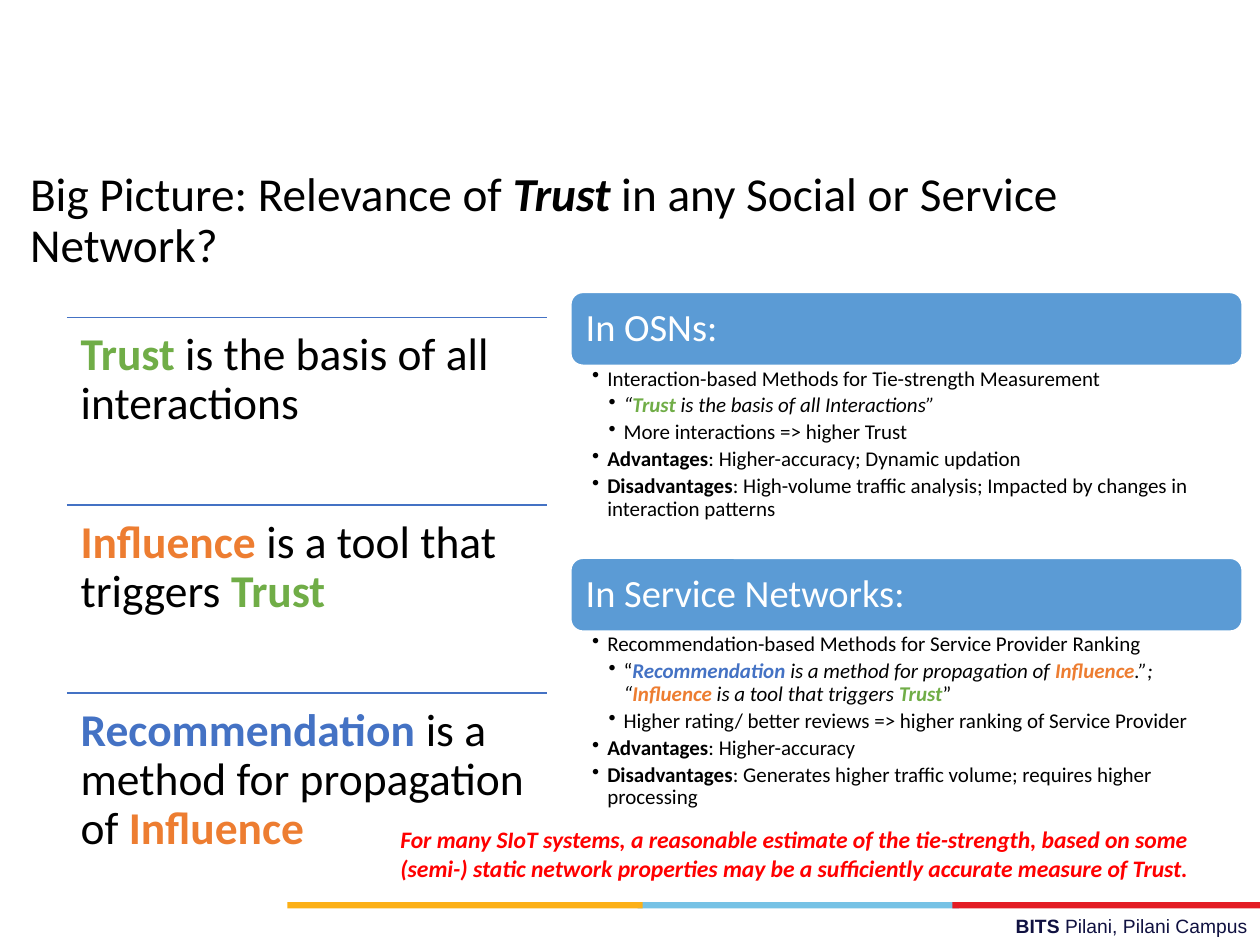
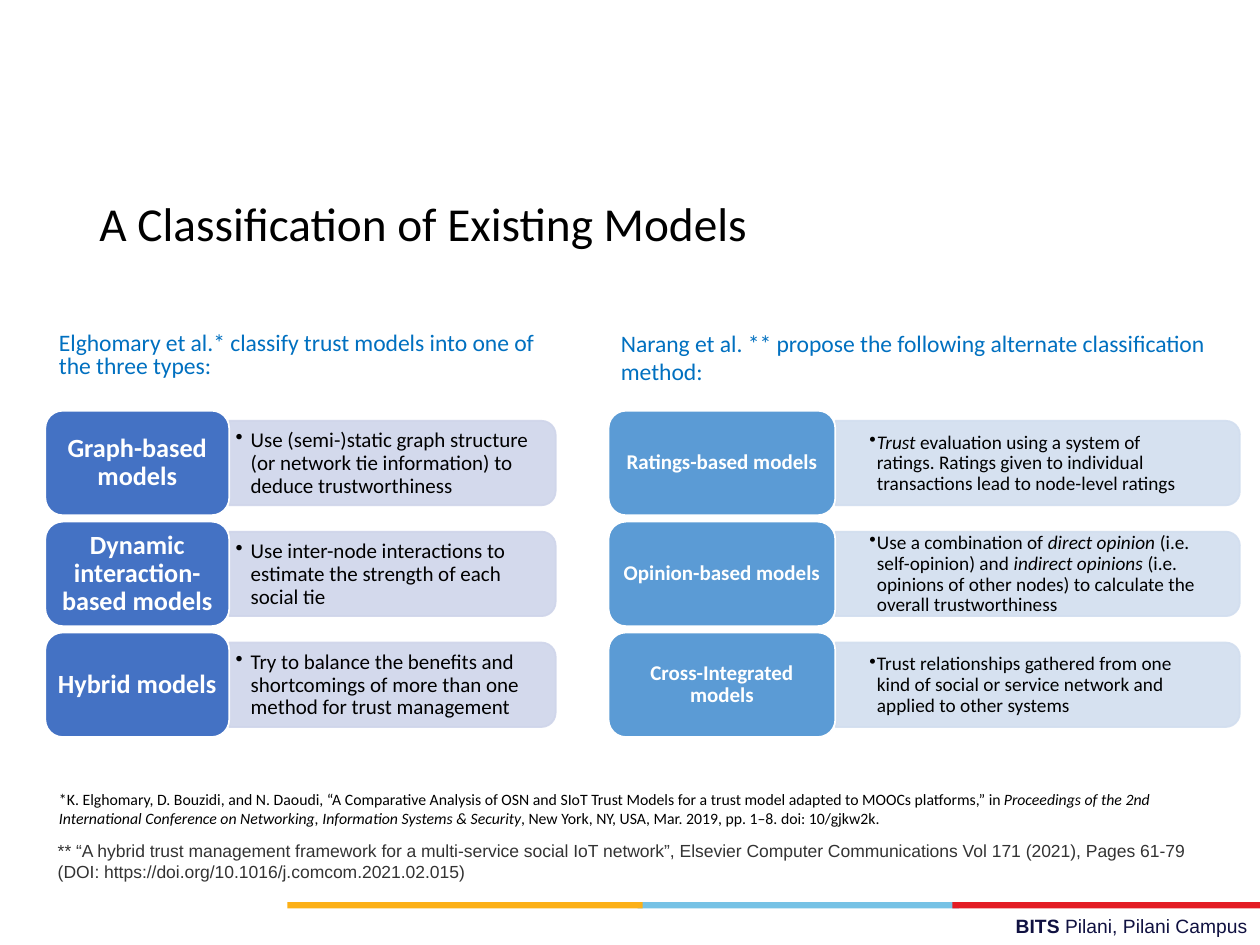
from lxml.etree import SubElement
from pptx import Presentation
from pptx.dml.color import RGBColor
from pptx.enum.shapes import MSO_CONNECTOR, MSO_SHAPE as SHAPE
from pptx.enum.text import MSO_ANCHOR as ANCHOR, PP_ALIGN as ALIGN
from pptx.oxml.ns import qn
from pptx.util import Emu, Pt

PX = 9144
BLACK, WHITE, NAVY, RED = "000000", "FFFFFF", "101141", "FF0000"
INDIGO, SKY, GREEN, ORANGE, LINK = "4472C4", "5B9BD5", "70AD47", "ED7D31", "0070C0"
TITLE_SIZE = 27

color = RGBColor.from_string
TRUST = ("Trust", "b", GREEN)
INFLUENCE = ("Influence", "b", ORANGE)
RECOMMENDATION = ("Recommendation", "b", INDIGO)


def write(frame, paragraphs, size, ink=BLACK, font="Calibri", insets=(10, 5, 10, 5),
          anchor=ANCHOR.TOP, align=ALIGN.LEFT, spacing=0.9, after=0, hang=0, step=0):
    frame.word_wrap = True
    frame.vertical_anchor = anchor
    frame.margin_left, frame.margin_top, frame.margin_right, frame.margin_bottom = [
        Emu(inset * PX) for inset in insets]
    for index, (level, runs) in enumerate(paragraphs):
        paragraph = frame.add_paragraph() if index else frame.paragraphs[0]
        paragraph.alignment = align
        paragraph.line_spacing = spacing
        paragraph.space_after = Pt(after)
        paragraph.level = level
        if hang:
            properties = paragraph._p.get_or_add_pPr()
            properties.set("marL", str((hang + step * level) * PX))
            properties.set("indent", str(-hang * PX))
            SubElement(properties, qn("a:buChar")).set("char", "•")
        for words, style, tint in runs:
            run = paragraph.add_run()
            run.text = words
            run.font.name = font
            run.font.size = Pt(size)
            run.font.bold = "b" in style
            run.font.italic = "i" in style
            run.font.color.rgb = color(tint or ink)


def block(slide, kind, box, fill, outline=None):
    shape = slide.shapes.add_shape(kind, *[Emu(n * PX) for n in box])
    shape.shadow.inherit = False
    shape.fill.solid()
    shape.fill.fore_color.rgb = color(fill)
    if outline:
        shape.line.color.rgb = color(outline)
        shape.line.width = Pt(1)
    else:
        shape.line.fill.background()
    return shape


deck = Presentation()
deck.slide_width, deck.slide_height = Emu(1000 * PX), Emu(750 * PX)
relevance, classification = [deck.slides.add_slide(deck.slide_layouts[6]) for _ in range(2)]

for slide in (relevance, classification):
    campus = slide.shapes.add_textbox(*[Emu(n * PX) for n in (358, 721, 642, 29)])
    write(campus.text_frame, [(0, [("BITS ", "b", None), ("Pilani, Pilani Campus", "", None)])],
          11, NAVY, "Arial", align=ALIGN.RIGHT, spacing=1)
    for left, width, fill in ((506, 255, "76C2E5"), (756, 244, "E31C24"), (228, 282, "FCB017")):
        block(slide, SHAPE.RECTANGLE, (left, 716, width, 5), fill)

titles = [
    (relevance, (14, 133, 980, 86), [("Big Picture: Relevance of ", "", None), ("Trust", "bi", None),
                                     (" in any Social or Service Network?", "", None)]),
    (classification, (69, 125, 862, 109), [("A Classification of Existing Models", "", None)]),
]
for slide, box, runs in titles:
    title = slide.shapes.add_textbox(*[Emu(n * PX) for n in box])
    write(title.text_frame, [(0, runs)], TITLE_SIZE, anchor=ANCHOR.MIDDLE)

principles = [
    [TRUST, (" is the basis of all interactions", "", None)],
    [INFLUENCE, (" is a tool that triggers ", "", None), TRUST],
    [RECOMMENDATION, (" is a method for propagation of ", "", None), INFLUENCE],
]
for row, runs in enumerate(principles):
    top = 252 + 149 * row
    rule = relevance.shapes.add_connector(
        MSO_CONNECTOR.STRAIGHT, *[Emu(n * PX) for n in (53, top, 434, top)])
    rule.line.color.rgb = color(INDIGO)
    rule.line.width = Pt(1)
    SubElement(rule._element.spPr, qn("a:effectLst"))
    principle = relevance.shapes.add_textbox(*[Emu(n * PX) for n in (53, top, 381, 149)])
    write(principle.text_frame, [(0, runs)], 26, insets=(11, 11, 11, 11))

networks = [
    (232, "In OSNs:", [
        (0, [("Interaction-based Methods for Tie-strength Measurement", "", None)]),
        (1, [("“", "i", None), ("Trust ", "bi", GREEN),
             ("is the basis of all Interactions”", "i", None)]),
        (1, [("More interactions => higher Trust", "", None)]),
        (0, [("Advantages", "b", None), (": Higher-accuracy; Dynamic updation", "", None)]),
        (0, [("Disadvantages", "b", None),
             (": High-volume traffic analysis; Impacted by changes in interaction patterns", "", None)]),
    ]),
    (443, "In Service Networks:", [
        (0, [("Recommendation-based Methods for Service Provider Ranking", "", None)]),
        (1, [("“", "", None), ("Recommendation", "bi", INDIGO),
             (" is a method for propagation of ", "i", None), ("Influence", "bi", ORANGE),
             (".”; “", "i", None), ("Influence", "bi", ORANGE),
             (" is a tool that triggers ", "i", None), ("Trust", "bi", GREEN), ("”", "", None)]),
        (1, [("Higher rating/ better reviews => higher ranking of Service Provider", "", None)]),
        (0, [("Advantages", "b", None), (": Higher-accuracy", "", None)]),
        (0, [("Disadvantages", "b", None),
             (": Generates higher traffic volume; requires higher processing", "", None)]),
    ]),
]
for top, heading, points in networks:
    header = block(relevance, SHAPE.ROUNDED_RECTANGLE, (453, top, 533, 58), SKY, WHITE)
    write(header.text_frame, [(0, [(heading, "", None)])], 22, WHITE,
          insets=(9, 9, 9, 9), anchor=ANCHOR.MIDDLE)
    details = relevance.shapes.add_textbox(*[Emu(n * PX) for n in (453, top + 58, 533, 150)])
    write(details.text_frame, points, 12, insets=(17, 2, 12, 2), after=2.4, hang=12, step=13)

model_groups = [
    (36, 146, 259, INDIGO, "CFD5EA", 15, 12, (6, 3, 6, 3), (5, 3, 5, 3), 12, [
        ("Graph-based models",
         [("Use (semi-)static graph structure (or network tie information) to deduce trustworthiness",
           "", None)]),
        ("Dynamic interaction-based models",
         [("Use inter-node interactions to estimate the strength of each social tie", "", None)]),
        ("Hybrid models",
         [("Try to balance the benefits and shortcomings of more than one method for trust management",
           "", None)]),
    ]),
    (483, 180, 321, SKY, "D2DEEF", 12, 11, (5, 3, 5, 3), (27, 14, 27, 14), 6, [
        ("Ratings-based models",
         [("Trust", "i", None),
          (" evaluation using a system of ratings. Ratings given to individual transactions "
           "lead to node-level ratings", "", None)]),
        ("Opinion-based models",
         [("Use a combination of ", "", None), ("direct opinion", "i", None),
          (" (i.e. self-opinion) and ", "", None), ("indirect opinions", "i", None),
          (" (i.e. opinions of other nodes) to calculate the overall trustworthiness", "", None)]),
        ("Cross-Integrated models",
         [("Trust relationships gathered from one kind of social or service network and applied "
           "to other systems", "", None)]),
    ]),
]
for (left, label_width, panel_width, fill, pale, label_size, text_size,
     label_insets, text_insets, hang, models) in model_groups:
    panel_left = left + label_width
    for row, (name, description) in enumerate(models):
        top = 326 + 88 * row
        panel_box = (panel_left + (panel_width - 67) // 2, top + 8 - (panel_width - 67) // 2,
                     67, panel_width)
        panel = block(classification, SHAPE.ROUND_2_SAME_RECTANGLE, panel_box, pale, pale)
        panel.rotation = 90
        for paint in panel._element.spPr.iter(qn("a:srgbClr")):
            SubElement(paint, qn("a:alpha")).set("val", "90000")
        summary = classification.shapes.add_textbox(
            *[Emu(n * PX) for n in (panel_left, top + 12, panel_width - 3, 60)])
        write(summary.text_frame, [(0, description)], text_size, insets=text_insets,
              anchor=ANCHOR.MIDDLE, hang=hang)
        label = block(classification, SHAPE.ROUNDED_RECTANGLE, (left, top, label_width, 83), fill, WHITE)
        write(label.text_frame, [(0, [(name, "b", None)])], label_size, WHITE,
              insets=label_insets, anchor=ANCHOR.MIDDLE, align=ALIGN.CENTER)

remarks = [
    (relevance, (308, 650, 677, 56), 13.5, RED, "Calibri", 1,
     [("For many SIoT systems, a reasonable estimate of the tie-strength, based on some (semi-) static "
       "network properties may be a sufficiently accurate measure of Trust.", "bi", None)]),
    (classification, (37, 260, 404, 46), 13.5, LINK, "Calibri", 0.8,
     [("Elghomary et al.* classify trust models into one of the three types:", "", None)]),
    (classification, (483, 256, 501, 56), 13.5, LINK, "Calibri", 1,
     [("Narang et al. ** propose the following alternate classification method:", "", None)]),
    (classification, (37, 622, 947, 40), 9, BLACK, "Calibri", 1,
     [("*K. Elghomary, D. Bouzidi, and N. Daoudi, “A Comparative Analysis of OSN and SIoT Trust Models "
       "for a trust model adapted to MOOCs platforms,” in ", "", None),
      ("Proceedings of the 2nd International Conference on Networking, Information Systems & Security",
       "i", None),
      (", New York, NY, USA, Mar. 2019, pp. 1–8. doi: 10/gjkw2k.", "", None)]),
    (classification, (36, 662, 948, 44), 10, "333333", "Arial", 1,
     [("** “A hybrid trust management framework for a multi-service social IoT network”, Elsevier "
       "Computer Communications Vol 171 (2021), Pages 61-79 "
       "(DOI: https://doi.org/10.1016/j.comcom.2021.02.015)", "", None)]),
]
for slide, box, size, ink, font, spacing, runs in remarks:
    remark = slide.shapes.add_textbox(*[Emu(n * PX) for n in box])
    write(remark.text_frame, [(0, runs)], size, ink, font, spacing=spacing)

deck.save("out.pptx")
